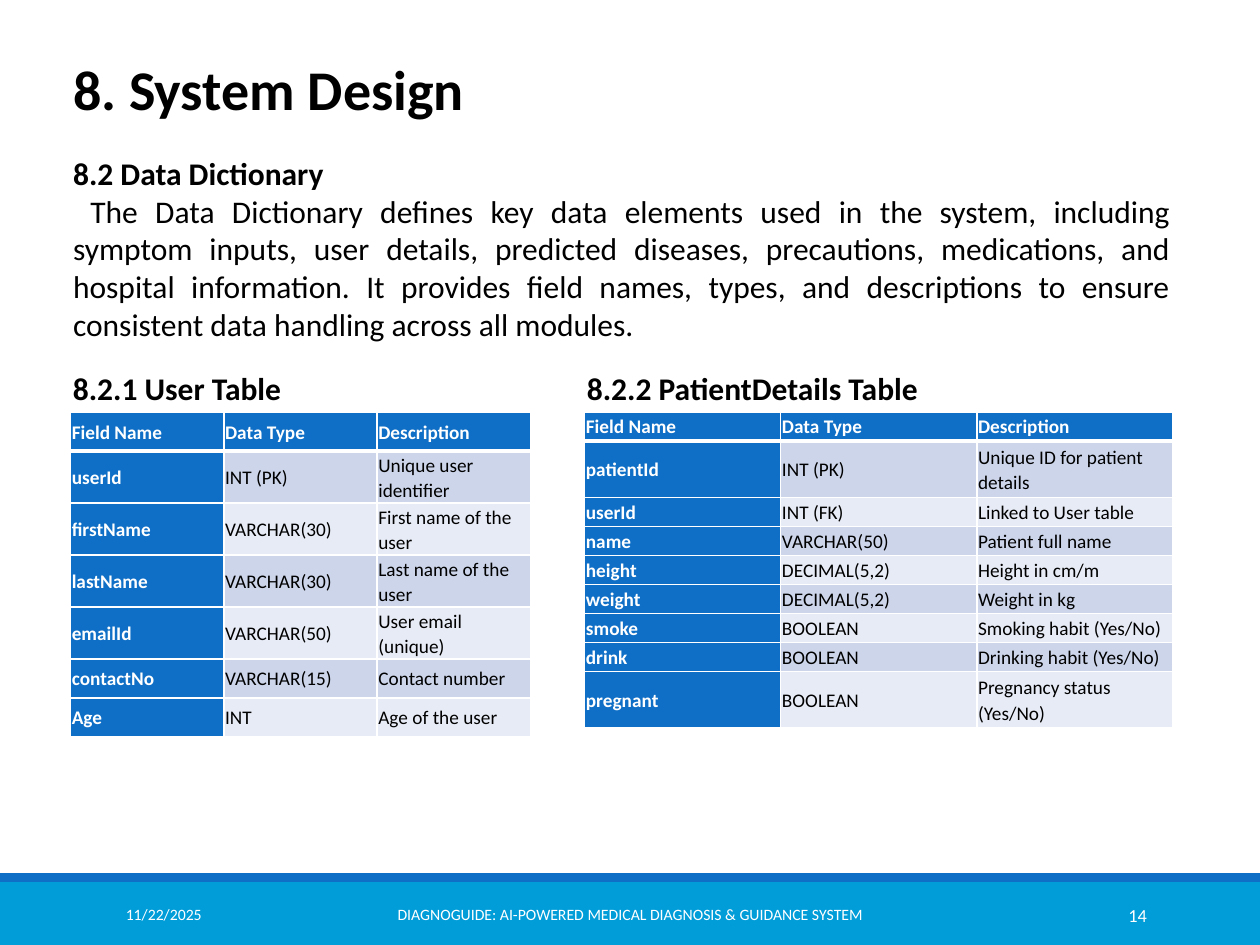
from lxml import etree
from pptx import Presentation
from pptx.dml.color import RGBColor
from pptx.enum.shapes import MSO_SHAPE
from pptx.enum.text import MSO_ANCHOR, MSO_AUTO_SIZE, PP_ALIGN
from pptx.oxml.ns import qn
from pptx.util import Inches, Pt

RECTANGLE = MSO_SHAPE.RECTANGLE
TOP, MIDDLE = MSO_ANCHOR.TOP, MSO_ANCHOR.MIDDLE
LEFT, CENTER, RIGHT, JUSTIFY = PP_ALIGN.LEFT, PP_ALIGN.CENTER, PP_ALIGN.RIGHT, PP_ALIGN.JUSTIFY

FONT = "Calibri"
BLACK = RGBColor(0x00, 0x00, 0x00)
WHITE = RGBColor(0xFF, 0xFF, 0xFF)
BLUE = RGBColor(0x0F, 0x6F, 0xC6)
CYAN = RGBColor(0x00, 0x9D, 0xD9)
BANDS = (RGBColor(0xCC, 0xD5, 0xEA), RGBColor(0xE7, 0xEB, 0xF5))

WIDTH, HEIGHT = 10, 7.5
MARGIN = 0.48
INSET = 0.1
FOOTER_TOP, STRIPE = 7, 0.07
HEADING_TOP, TABLE_TOP = 2.88, 3.27

INTRODUCTION = (
    " The Data Dictionary defines key data elements used in the system, including "
    "symptom inputs, user details, predicted diseases, precautions, medications, and "
    "hospital information. It provides field names, types, and descriptions to ensure "
    "consistent data handling across all modules."
)
HEADER = ("Field Name", "Data Type", "Description")
USER_FIELDS = [
    ("userId", "INT (PK)", "Unique user identifier"),
    ("firstName", "VARCHAR(30)", "First name of the user"),
    ("lastName", "VARCHAR(30)", "Last name of the user"),
    ("emailId", "VARCHAR(50)", "User email (unique)"),
    ("contactNo", "VARCHAR(15)", "Contact number"),
    ("Age", "INT", "Age of the user"),
]
PATIENT_FIELDS = [
    ("patientId", "INT (PK)", "Unique ID for patient details"),
    ("userId", "INT (FK)", "Linked to User table"),
    ("name", "VARCHAR(50)", "Patient full name"),
    ("height", "DECIMAL(5,2)", "Height in cm/m"),
    ("weight", "DECIMAL(5,2)", "Weight in kg"),
    ("smoke", "BOOLEAN", "Smoking habit (Yes/No)"),
    ("drink", "BOOLEAN", "Drinking habit (Yes/No)"),
    ("pregnant", "BOOLEAN", "Pregnancy status (Yes/No)"),
]
USER_ROWS = [0.31] * 7
PATIENT_ROWS = [0.23, 0.45] + [0.23] * 6 + [0.45]


def format_paragraph(paragraph, size, color=BLACK, bold=False, align=LEFT):
    paragraph.alignment = align
    for run in paragraph.runs:
        run.font.name = FONT
        run.font.size = Pt(size)
        run.font.bold = bold
        run.font.color.rgb = color


def place(shape, left, top, width, height):
    shape.left, shape.top = Inches(left), Inches(top)
    shape.width, shape.height = Inches(width), Inches(height)


def add_bar(slide, top, height, color):
    bar = slide.shapes.add_shape(
        RECTANGLE, 0, Inches(top), Inches(WIDTH), Inches(height))
    bar.shadow.inherit = False
    bar.fill.solid()
    bar.fill.fore_color.rgb = color
    bar.line.fill.background()


def add_text(slide, box, text, size, color=BLACK, bold=False, align=LEFT, anchor=TOP):
    text_box = slide.shapes.add_textbox(*map(Inches, box))
    frame = text_box.text_frame
    frame.word_wrap = True
    frame.vertical_anchor = anchor
    frame.text = text
    format_paragraph(frame.paragraphs[0], size, color, bold, align)


def fill_title(slide):
    title = slide.shapes.title
    place(title, MARGIN, 0.38, 9.06, 0.64)
    frame = title.text_frame
    frame.text = "8. System Design"
    frame.vertical_anchor = TOP
    frame.auto_size = MSO_AUTO_SIZE.NONE
    format_paragraph(frame.paragraphs[0], 32, bold=True)


def fill_body(slide):
    body = slide.placeholders[1]
    place(body, MARGIN, 1.17, 8.91, 1.6)
    frame = body.text_frame
    frame.text = "8.2 Data Dictionary\n" + INTRODUCTION
    frame.vertical_anchor = TOP
    frame.auto_size = MSO_AUTO_SIZE.NONE
    heading, introduction = frame.paragraphs
    format_paragraph(heading, 18, bold=True)
    format_paragraph(introduction, 18, align=JUSTIFY)
    for paragraph in frame.paragraphs:
        paragraph.space_before = Pt(0)
        properties = paragraph._p.get_or_add_pPr()
        properties.set("marL", "0")
        properties.set("indent", "0")
        etree.SubElement(properties, qn("a:buNone"))


def set_borders(cell, top, bottom):
    properties = cell._tc.get_or_add_tcPr()
    for side, points in (("L", 1), ("R", 1), ("T", top), ("B", bottom)):
        line = etree.SubElement(properties, qn("a:ln" + side), w=str(Pt(points)))
        fill = etree.SubElement(line, qn("a:solidFill"))
        etree.SubElement(fill, qn("a:srgbClr"), val=str(WHITE))


def format_cell(cell, text, row, column):
    # The header row and the first column share one strong style
    strong = row == 0 or column == 0
    set_borders(cell, top=3 if row == 1 else 1, bottom=3 if row == 0 else 1)
    cell.fill.solid()
    cell.fill.fore_color.rgb = BLUE if strong else BANDS[(row - 1) % 2]
    cell.vertical_anchor = MIDDLE
    cell.margin_left = cell.margin_right = Inches(0.01)
    cell.margin_top = cell.margin_bottom = Inches(0.01)
    cell.text = text
    paragraph = cell.text_frame.paragraphs[0]
    paragraph.line_spacing = 1.07
    paragraph.space_after = Pt(8)
    format_paragraph(paragraph, 11, WHITE if strong else BLACK, strong)


def add_field_table(slide, heading, left, width, fields, row_heights):
    add_text(slide, (left - INSET + 0.02, HEADING_TOP, width, 0.4), heading, 18, bold=True)
    records = [HEADER] + fields
    table = slide.shapes.add_table(
        len(records), len(HEADER), Inches(left), Inches(TABLE_TOP),
        Inches(width), Inches(sum(row_heights))).table
    for column in table.columns:
        column.width = Inches(width / len(HEADER))
    for row, (record, height) in enumerate(zip(records, row_heights)):
        table.rows[row].height = Inches(height)
        for column, text in enumerate(record):
            format_cell(table.cell(row, column), text, row, column)


def add_footer(slide):
    add_bar(slide, FOOTER_TOP, HEIGHT - FOOTER_TOP, CYAN)
    add_bar(slide, FOOTER_TOP - STRIPE, STRIPE, BLUE)
    entries = (
        (0.9, 2.03, "11/22/2025", 9, LEFT),
        (3.02, 3.96, "DIAGNOGUIDE: AI-POWERED MEDICAL DIAGNOSIS & GUIDANCE SYSTEM", 9, CENTER),
        (8.12, 1.08, "14", 10.5, RIGHT),
    )
    for left, width, text, size, align in entries:
        add_text(slide, (left, 7.06, width, 0.4), text, size, WHITE,
                 align=align, anchor=MIDDLE)


def main():
    presentation = Presentation()
    presentation.slide_width, presentation.slide_height = Inches(WIDTH), Inches(HEIGHT)
    slide = presentation.slides.add_slide(presentation.slide_layouts[1])

    # Footer band
    add_footer(slide)

    # Title and introduction
    fill_title(slide)
    fill_body(slide)

    # Data dictionary tables
    add_field_table(slide, "8.2.1 User Table", 0.56, 3.65, USER_FIELDS, USER_ROWS)
    add_field_table(slide, "8.2.2 PatientDetails Table", 4.64, 4.67,
                    PATIENT_FIELDS, PATIENT_ROWS)

    presentation.save("out.pptx")


if __name__ == "__main__":
    main()
